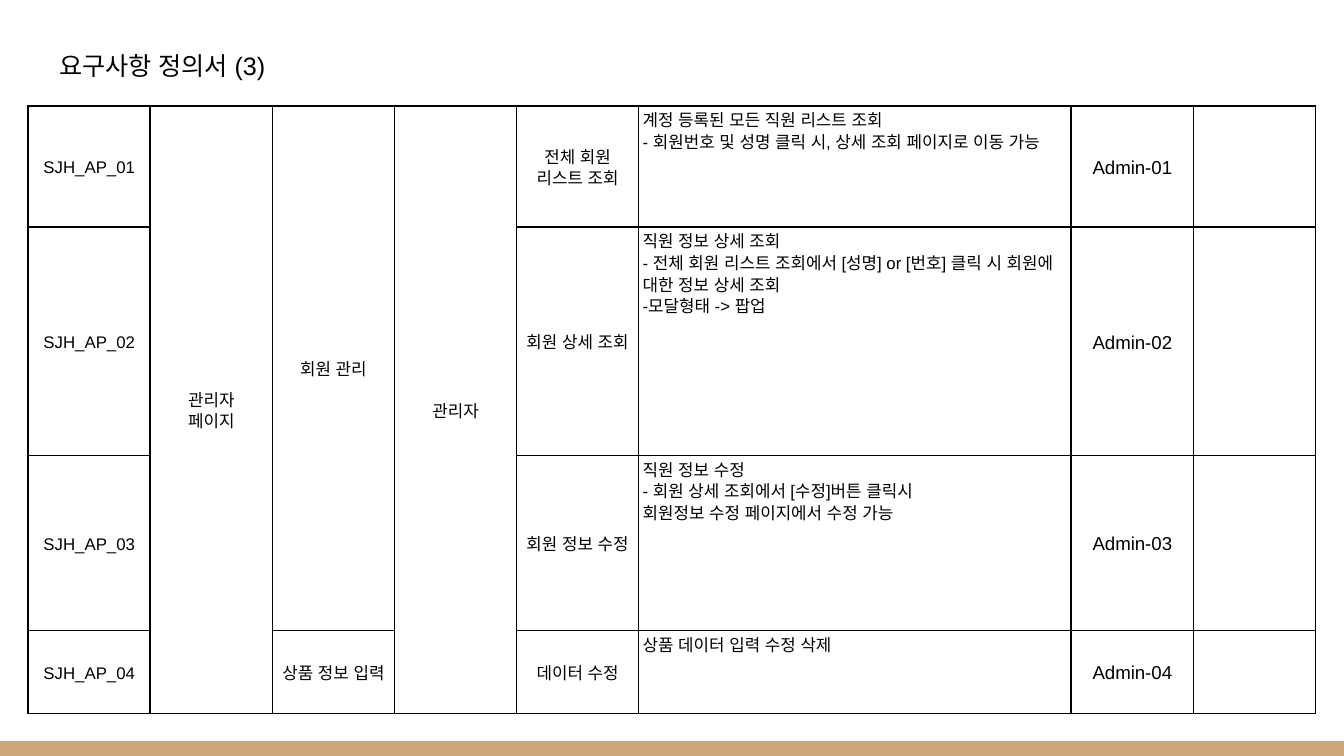
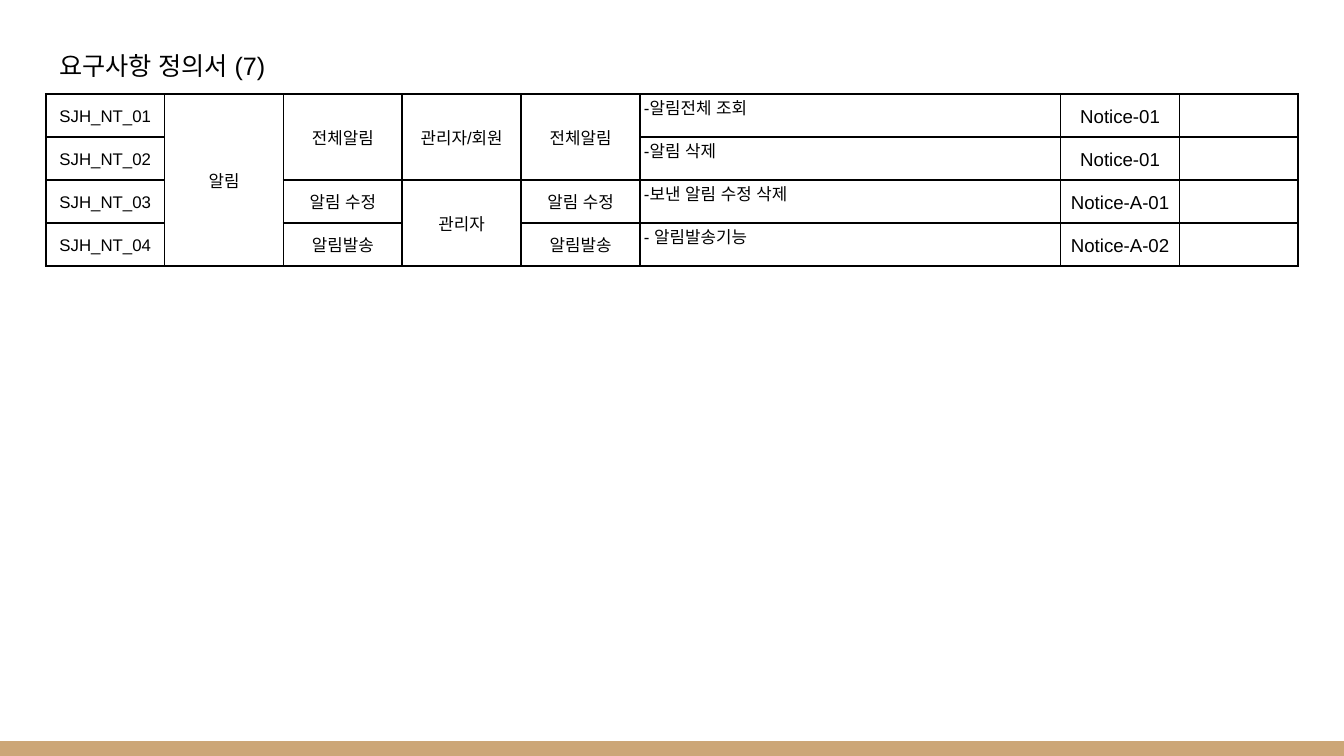
from lxml.etree import SubElement
from pptx import Presentation
from pptx.dml.color import RGBColor
from pptx.enum.shapes import MSO_SHAPE
from pptx.enum.text import MSO_ANCHOR, MSO_AUTO_SIZE, PP_ALIGN
from pptx.oxml import parse_xml
from pptx.oxml.ns import nsdecls, qn
from pptx.util import Inches, Pt

BLACK, WHITE, TAN = "000000", "FFFFFF", "CCA677"
FONT = "Arial"
DETAIL_COLUMN, SCREEN_COLUMN = 5, 6


def color(hex_value):
    return RGBColor.from_string(hex_value)


def write_text(frame, text, size=9, align=PP_ALIGN.CENTER, line_spacing=1.15):
    """Fill a text frame, one paragraph per line of text."""
    frame.word_wrap = True
    for index, line in enumerate(text.split("\n")):
        paragraph = frame.paragraphs[0] if index == 0 else frame.add_paragraph()
        paragraph.alignment = align
        paragraph.line_spacing = line_spacing
        if line:
            run = paragraph.add_run()
            run.text = line
            run.font.size = Pt(size)
            run.font.color.rgb = color(BLACK)
            run.font.name = FONT
            SubElement(run.font._element, qn("a:ea"), typeface=FONT)
        else:
            paragraph._p.get_or_add_endParaRPr().set("sz", str(size * 100))


# None continues the cell above it.
requirement_slides = [
    {
        "title": "요구사항 정의서 (3)",
        "left": 0.21, "top": 0.79,
        "width": 9.58, "detail_width": 3.22,
        "heights": [0.9, 1.7, 1.3, 0.62],
        "rows": [
            ["SJH_AP_01", "관리자\n페이지", "회원 관리", "관리자", "전체 회원 리스트 조회",
             "계정 등록된 모든 직원 리스트 조회\n"
             "- 회원번호 및 성명 클릭 시, 상세 조회 페이지로 이동 가능", "Admin-01", ""],
            ["SJH_AP_02", None, None, None, "회원 상세 조회",
             "직원 정보 상세 조회\n"
             "- 전체 회원 리스트 조회에서 [성명] or [번호] 클릭 시 회원에 대한 정보 상세 조회\n"
             "-모달형태 -> 팝업", "Admin-02", ""],
            ["SJH_AP_03", None, None, None, "회원 정보 수정",
             "직원 정보 수정\n- 회원 상세 조회에서 [수정]버튼 클릭시\n"
             "회원정보 수정 페이지에서 수정 가능", "Admin-03", ""],
            ["SJH_AP_04", None, "상품 정보 입력", None, "데이터 수정",
             "상품 데이터 입력 수정 삭제", "Admin-04", ""],
        ],
    },
    {
        "title": "요구사항 정의서 (7)",
        "left": 0.34, "top": 0.7,
        "width": 9.32, "detail_width": 3.13,
        "heights": [0.32] * 4,
        "rows": [
            ["SJH_NT_01", "알림", "전체알림", "관리자/회원", "전체알림",
             "-알림전체 조회", "Notice-01", ""],
            ["SJH_NT_02", None, None, None, None, "-알림 삭제", "Notice-01", ""],
            ["SJH_NT_03", None, "알림 수정", "관리자", "알림 수정",
             "-보낸 알림 수정 삭제", "Notice-A-01", ""],
            ["SJH_NT_04", None, "알림발송", None, "알림발송",
             "- 알림발송기능", "Notice-A-02", ""],
        ],
    },
]

presentation = Presentation()
presentation.slide_width = Inches(10)
presentation.slide_height = Inches(10 * 9 / 16)
layout = presentation.slide_layouts[5]
slides = [presentation.slides.add_slide(layout) for _ in requirement_slides]

# The bottom band belongs to the layout, so every slide shows it.
band_height = Inches(0.11)
band = slides[0].shapes.add_shape(
    MSO_SHAPE.RECTANGLE, 0, presentation.slide_height - band_height,
    presentation.slide_width, band_height)
band.shadow.inherit = False
band.fill.solid()
band.fill.fore_color.rgb = color(TAN)
band.line.fill.background()
layout.shapes.element.append(band.element)

for slide, content in zip(slides, requirement_slides):
    slide.background.fill.solid()
    slide.background.fill.fore_color.rgb = color(WHITE)

    title = slide.shapes.title
    title.left, title.top = Inches(0.34), Inches(0.35)
    title.width, title.height = Inches(9.32), Inches(0.35)
    frame = title.text_frame
    frame.auto_size = MSO_AUTO_SIZE.NONE
    frame.vertical_anchor = MSO_ANCHOR.BOTTOM
    frame.margin_left = frame.margin_right = Inches(0.1)
    frame.margin_top = frame.margin_bottom = Inches(0.1)
    write_text(frame, content["title"], size=13.5, align=PP_ALIGN.LEFT, line_spacing=1)

    rows = content["rows"]
    column_count = len(rows[0])
    narrow_width = (content["width"] - content["detail_width"]) / (column_count - 1)
    table = slide.shapes.add_table(
        len(rows), column_count, Inches(content["left"]), Inches(content["top"]),
        Inches(content["width"]), Inches(sum(content["heights"]))).table
    table.first_row = table.horz_banding = False
    for column in table.columns:
        column.width = Inches(narrow_width)
    table.columns[DETAIL_COLUMN].width = Inches(content["detail_width"])
    for row, height in zip(table.rows, content["heights"]):
        row.height = Inches(height)

    for row_index, row in enumerate(rows):
        for column_index, text in enumerate(row):
            cell = table.cell(row_index, column_index)
            cell.margin_left = cell.margin_right = Inches(0.03)
            cell.margin_top = cell.margin_bottom = Inches(0.02)
            properties = cell._tc.get_or_add_tcPr()
            for side in ("lnL", "lnR", "lnT", "lnB"):
                border = SubElement(properties, qn(f"a:{side}"), w=str(Pt(1)))
                border.append(parse_xml(
                    f'<a:solidFill {nsdecls("a")}><a:srgbClr val="{BLACK}"/></a:solidFill>'))
            cell.fill.background()
            if text is None:
                continue

            is_detail = column_index == DETAIL_COLUMN
            cell.vertical_anchor = MSO_ANCHOR.TOP if is_detail else MSO_ANCHOR.MIDDLE
            write_text(cell.text_frame, text,
                       size=10 if column_index == SCREEN_COLUMN else 9,
                       align=PP_ALIGN.LEFT if is_detail else PP_ALIGN.CENTER)
            last = row_index
            while last + 1 < len(rows) and rows[last + 1][column_index] is None:
                last += 1
            if last > row_index:
                cell.merge(table.cell(last, column_index))

presentation.save("out.pptx")
